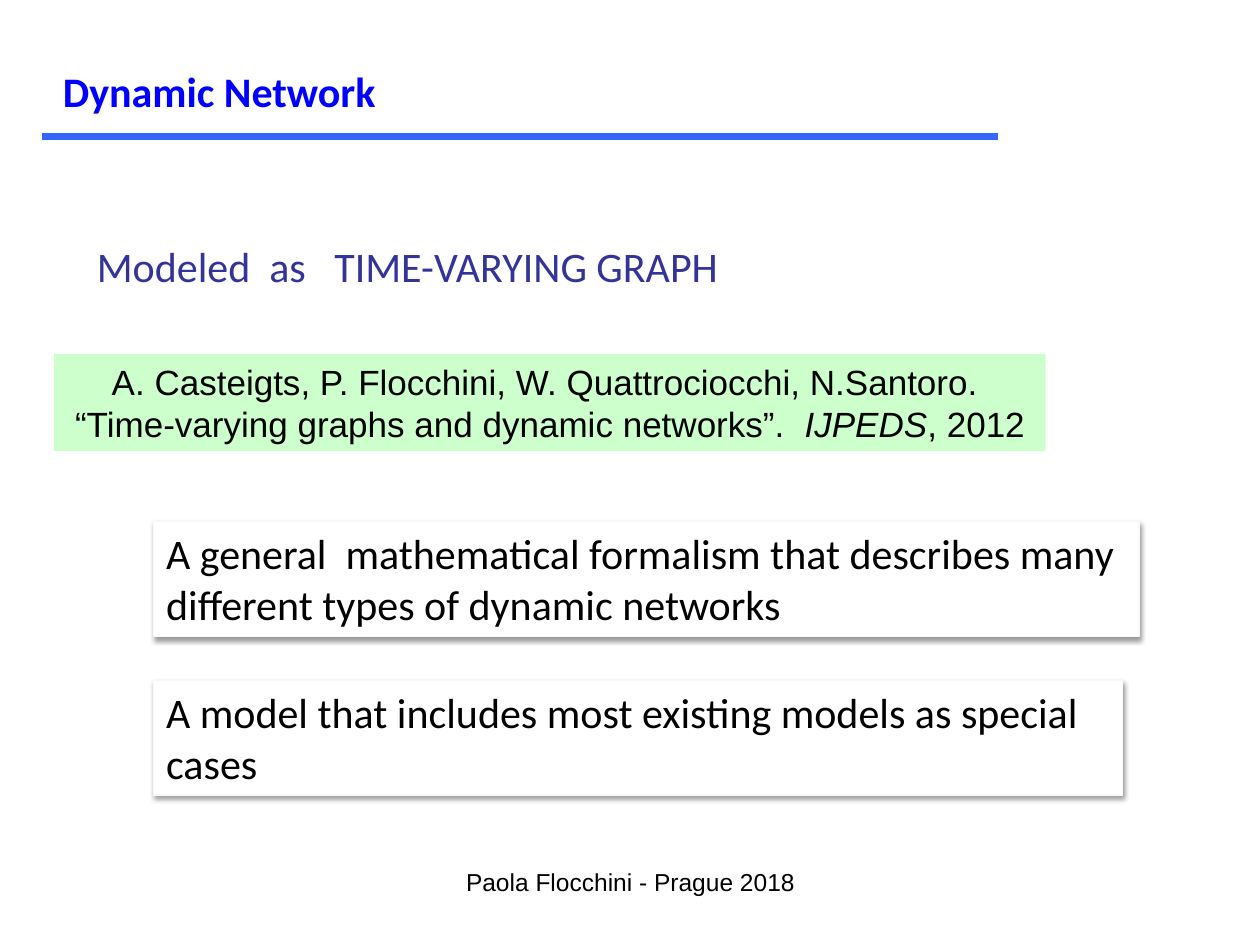
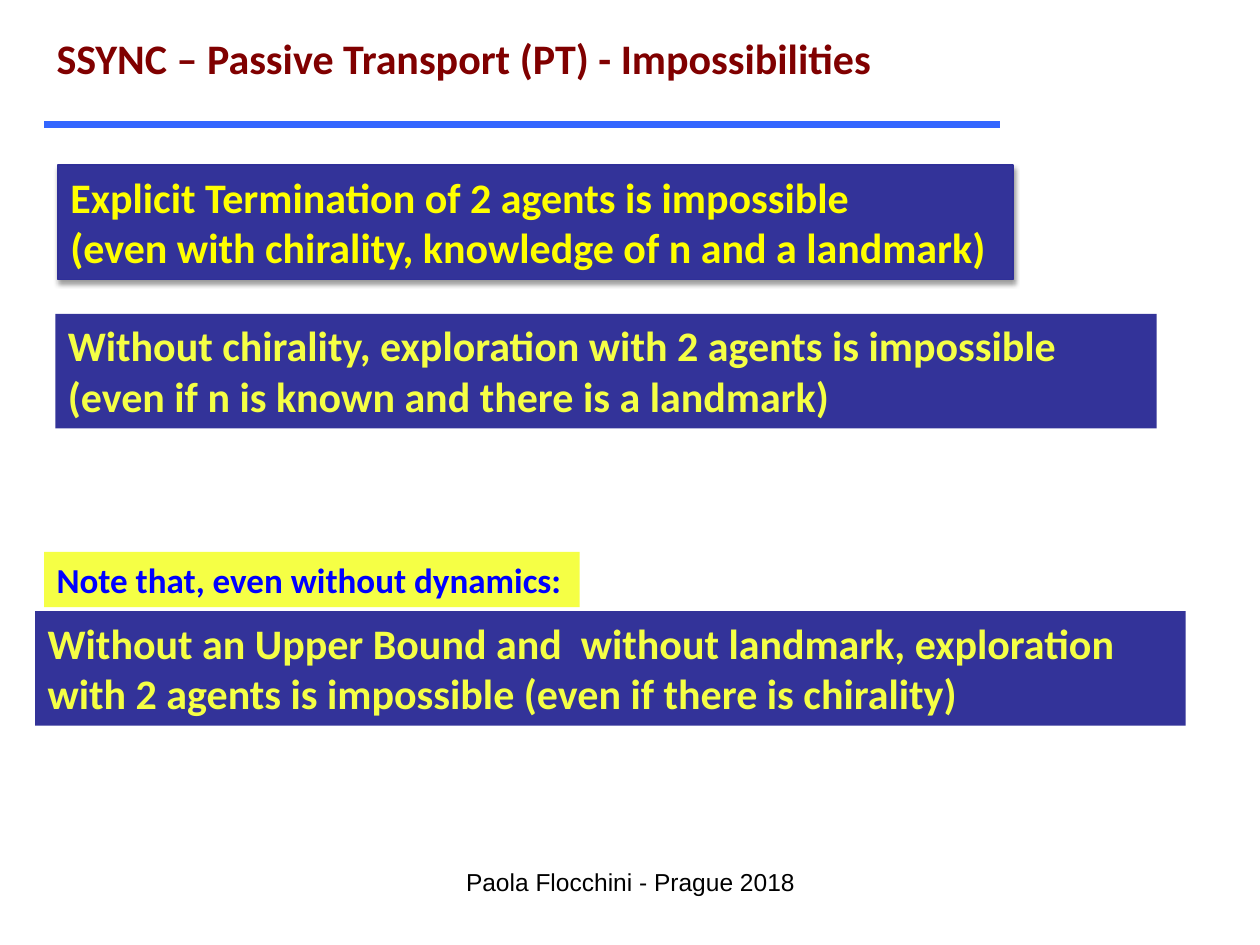
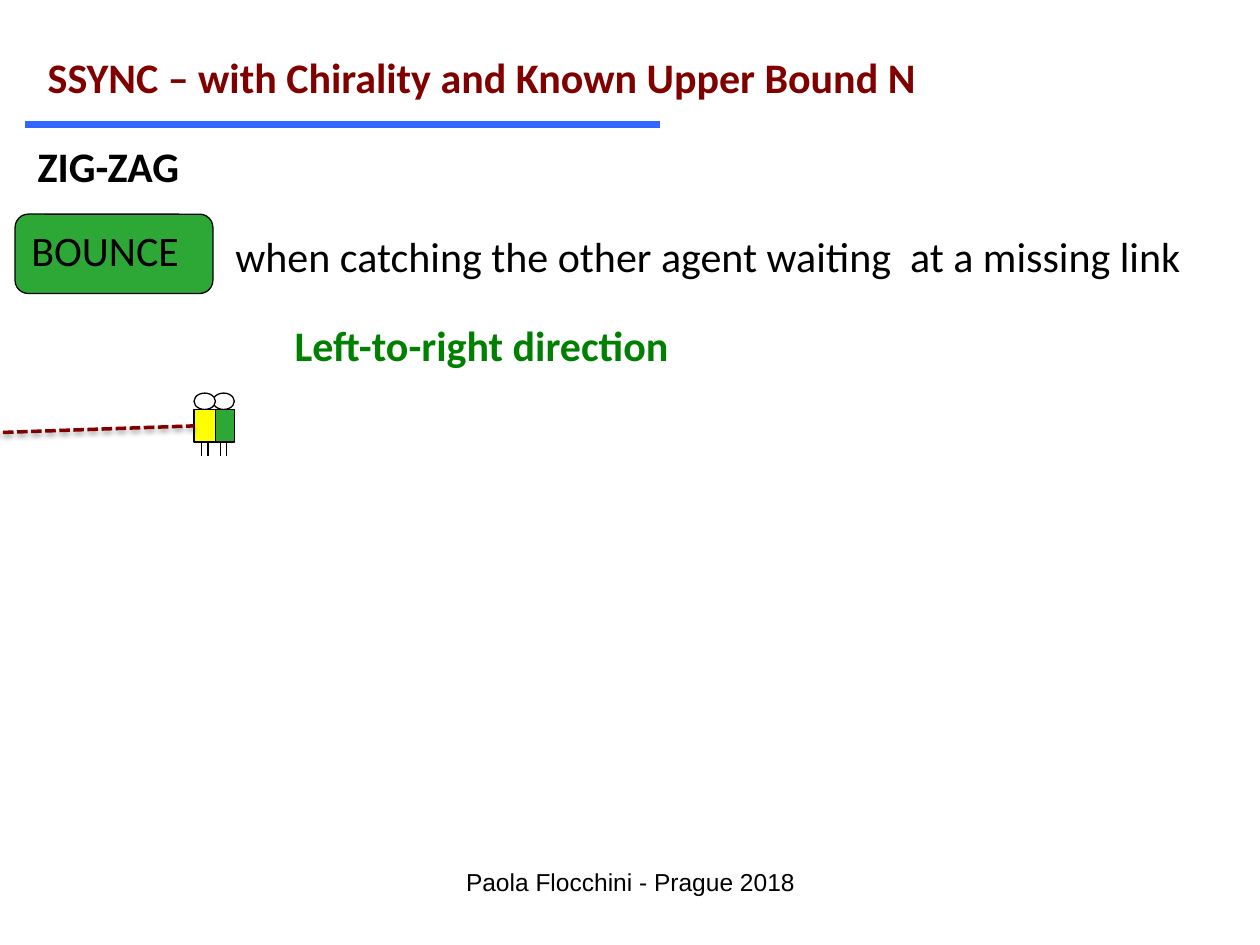
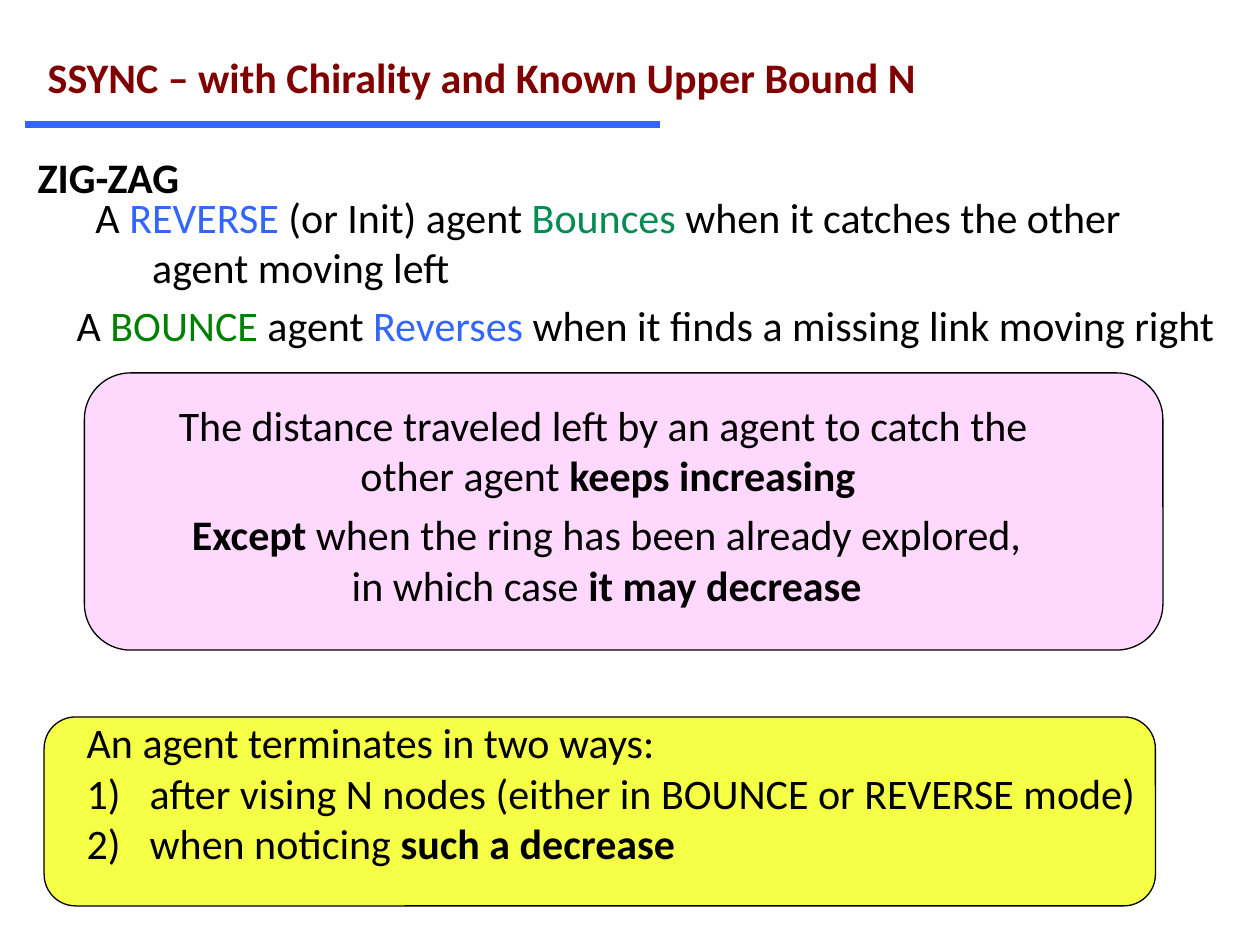
from dataclasses import dataclass

import pptx
import pptx.dml.color
import pptx.enum.dml
import pptx.enum.shapes
import pptx.enum.text
import pptx.oxml
import pptx.oxml.ns
import pptx.util

Inches, Pt = pptx.util.Inches, pptx.util.Pt
SHAPES = pptx.enum.shapes.MSO_SHAPE


@dataclass(frozen=True)
class Theme:
    body_font: str = "Calibri"
    plain_font: str = "Arial"
    body_size: int = 24
    small_size: int = 20
    footer_size: int = 14
    hairline: float = 0.75
    rule_width: int = 4
    path_width: int = 2
    black: str = "000000"
    white: str = "FFFFFF"
    card_edge: str = "F9F9F9"
    blue: str = "0000FF"
    rule_blue: str = "3366FF"
    navy: str = "333399"
    navy_edge: str = "2F2F98"
    maroon: str = "800000"
    green: str = "008000"
    bounce_green: str = "008C52"
    agent_green: str = "2DA735"
    mint: str = "CCFFCC"
    lemon: str = "F5FF45"
    yellow: str = "FFFF00"
    pink: str = "FFD8FE"


THEME = Theme()

# Text formats
TITLE = dict(color=THEME.maroon, bold=True)
HEADING = dict(bold=True, wrap=False)
CITATION = dict(font=THEME.plain_font, size=THEME.small_size, fill=THEME.mint, centered=True)
CARD = dict(fill=THEME.white, line=THEME.card_edge, shadow=True)
RESULT = dict(fill=THEME.navy, color=THEME.lemon, bold=True)
KEY_RESULT = dict(fill=THEME.navy, color=THEME.yellow, bold=True, line=THEME.navy_edge,
                  shadow=True, wrap=False)
REMARK = dict(fill=THEME.lemon, color=THEME.blue, bold=True, size=THEME.small_size, wrap=False)
ROUNDED = dict(kind=SHAPES.ROUNDED_RECTANGLE, line=THEME.black, grow=False)
CENTERED = dict(centered=True, wrap=False)
BOLD = dict(bold=True)
REVERSE = dict(color=THEME.rule_blue)
FOOTER = ((3.42, 6.83, 3.17, 0.5), ["Paola Flocchini - Prague 2018"],
          dict(font=THEME.plain_font, size=THEME.footer_size, centered=True, grow=False))

# A paragraph is a string, a list of runs, or a dict with runs and indents.
# A run is a string or a pair of string and format.
ZIGZAG_TITLE = ((0.28, 0.36, 7.18, 0.91), ["SSYNC – with Chirality and Known Upper Bound N"],
                dict(TITLE, wrap=False))
ZIGZAG_RULE = (0.2, 5.24, 0.99)

SLIDES = [
    dict(
        rule=(0.33, 7.92, 1.08),
        boxes=[
            FOOTER,
            ((0.4, 0.47, 2.71, 0.5), ["Dynamic Network"], dict(HEADING, color=THEME.blue)),
            ((0.67, 1.86, 6.38, 0.5), ["Modeled  as   TIME-VARYING GRAPH"],
             dict(color=THEME.navy)),
            ((0.43, 2.81, 7.87, 0.77),
             ["A. Casteigts, P. Flocchini, W. Quattrociocchi, N.Santoro. ",
              ["“Time-varying graphs and dynamic networks”.  ",
               ("IJPEDS", dict(italic=True)), ", 2012"]], CITATION),
            ((1.22, 5.4, 7.69, 0.91),
             ["A model that includes most existing models as special cases"], CARD),
            ((1.22, 4.14, 7.82, 0.91),
             ["A general  mathematical formalism that describes many different types of "
              "dynamic networks"], CARD),
        ],
    ),
    dict(
        rule=(0.35, 7.94, 0.99),
        boxes=[
            FOOTER,
            ((0.28, 4.85, 9.13, 0.91),
             ["Without an Upper Bound and  without landmark, exploration with 2 agents is "
              "impossible (even if there is chirality)"], RESULT),
            ((0.35, 4.38, 4.25, 0.44), ["Note that, even without dynamics:"], REMARK),
            ((0.35, 0.21, 9.65, 0.5), ["SSYNC – Passive Transport (PT) - Impossibilities"],
             TITLE),
            ((0.46, 1.31, 7.58, 0.91),
             ["Explicit Termination of 2 agents is impossible",
              "(even with chirality, knowledge of n and a landmark)"], KEY_RESULT),
            ((0.44, 2.49, 8.74, 0.91),
             ["Without chirality, exploration with 2 agents is impossible",
              "(even if n is known and there is a landmark)"], RESULT),
        ],
    ),
    dict(
        rule=ZIGZAG_RULE,
        boxes=[
            FOOTER,
            ZIGZAG_TITLE,
            ((0.2, 1.07, 1.35, 0.5), ["ZIG-ZAG"], HEADING),
            ((2.24, 2.49, 3.22, 0.5), ["Left-to-right direction"],
             dict(HEADING, color=THEME.green)),
            ((1.77, 1.78, 8.11, 0.5),
             ["when catching the other agent waiting  at a missing link"], {}),
            ((0.12, 1.7, 1.57, 0.63), ["BOUNCE"], dict(ROUNDED, fill=THEME.agent_green)),
        ],
        agents=[(1.69, THEME.agent_green), (1.54, THEME.yellow)],
    ),
    dict(
        rule=ZIGZAG_RULE,
        boxes=[
            ((0.66, 1.47, 8.44, 0.91),
             [["A ", ("REVERSE ", REVERSE), "(or Init) agent ",
               ("Bounces", dict(color=THEME.bounce_green)), " when it catches the other"],
              dict(runs=["agent moving left"], left=0.45)], dict(wrap=False)),
            ((0.51, 2.33, 9.27, 0.5),
             [["A ", ("BOUNCE", dict(color=THEME.green)), " agent ", ("Reverses", REVERSE),
               " when it finds a missing link moving right"]], dict(wrap=False)),
            ZIGZAG_TITLE,
            ((0.2, 1.15, 1.35, 0.5), ["ZIG-ZAG"], HEADING),
        ],
        panels=[
            [
                ((0.35, 5.69, 8.82, 1.5), [], dict(ROUNDED, fill=THEME.lemon)),
                ((0.59, 5.64, 8.66, 1.72),
                 ["An agent terminates in two ways:",
                  dict(runs=["after vising N nodes (either in BOUNCE or REVERSE mode)"],
                       left=0.5, numbered=True),
                  dict(runs=["when noticing ", ("such a decrease", BOLD)],
                       left=0.5, numbered=True)], {}),
            ],
            [
                ((0.67, 2.96, 8.56, 2.2), [], dict(ROUNDED, fill=THEME.pink)),
                ((1.3, 3.12, 7.05, 0.77),
                 ["The distance traveled left by an agent to catch the ",
                  ["other agent ", ("keeps increasing", BOLD)]], CENTERED),
                ((1.38, 3.99, 6.87, 0.91),
                 [[("Except", BOLD), " when the ring has been already explored,"],
                  ["in which case ", ("it may decrease", BOLD)]], CENTERED),
            ],
        ],
    ),
]

AGENT_WIDTH, HEAD_TOP, HEAD_HEIGHT, BODY_HEIGHT, LEG_LENGTH = 0.17, 3.12, 0.13, 0.26, 0.11
LEG_OFFSETS = (0.06, 0.11)
PATH_START = (-0.2, 3.44)


def rgb(value):
    return pptx.dml.color.RGBColor.from_string(value)


def add_effects(shape, shadow):
    """Replace the theme's effects by a soft drop shadow or by none."""
    properties = shape._element.spPr
    effects = properties.find(pptx.oxml.ns.qn("a:effectLst"))
    if effects is None:
        effects = pptx.oxml.parse_xml(f'<a:effectLst {pptx.oxml.ns.nsdecls("a")}/>')
        properties.append(effects)
    if shadow:
        effects.append(pptx.oxml.parse_xml(
            f'<a:outerShdw {pptx.oxml.ns.nsdecls("a")} blurRad="{Pt(3.1)}" dist="{Pt(1.6)}" '
            'dir="5400000" rotWithShape="0"><a:srgbClr val="000000">'
            '<a:alpha val="38000"/></a:srgbClr></a:outerShdw>'))


def add_line(shapes, start, end, color=THEME.black, width=THEME.hairline, dash=None,
             shadow=False):
    connector = shapes.add_connector(
        pptx.enum.shapes.MSO_CONNECTOR.STRAIGHT, *(Inches(value) for value in start + end))
    connector.line.color.rgb = rgb(color)
    connector.line.width = Pt(width)
    if dash is not None:
        connector.line.dash_style = dash
    add_effects(connector, shadow)
    return connector


def add_preset(shapes, place, fill, line=None, kind=SHAPES.RECTANGLE, shadow=False):
    shape = shapes.add_shape(kind, *(Inches(value) for value in place))
    shape.shadow.inherit = False
    shape.fill.solid()
    shape.fill.fore_color.rgb = rgb(fill)
    if line:
        shape.line.color.rgb = rgb(line)
        shape.line.width = Pt(THEME.hairline)
    else:
        shape.line.fill.background()
    if shadow:
        add_effects(shape, True)
    return shape


def set_indent(paragraph, left, numbered=False):
    properties = paragraph._p.get_or_add_pPr()
    properties.set("marL", str(Inches(left)))
    if numbered:
        properties.set("indent", str(-Inches(left)))
        properties.append(pptx.oxml.parse_xml(
            f'<a:buAutoNum {pptx.oxml.ns.nsdecls("a")} type="arabicParenR"/>'))


def add_run(paragraph, text, font=THEME.body_font, size=THEME.body_size, color=THEME.black,
            bold=False, italic=False):
    run = paragraph.add_run()
    run.text = text
    run.font.name = font
    run.font.size = Pt(size)
    run.font.color.rgb = rgb(color)
    run.font.bold = bold
    run.font.italic = italic


def add_text(shapes, place, paragraphs, fill=None, line=None, kind=SHAPES.RECTANGLE,
             shadow=False, centered=False, wrap=True, grow=True, **run_format):
    if fill:
        shape = add_preset(shapes, place, fill, line, kind, shadow)
    else:
        shape = shapes.add_textbox(*(Inches(value) for value in place))
    frame = shape.text_frame
    frame.word_wrap = wrap
    frame.vertical_anchor = pptx.enum.text.MSO_ANCHOR.TOP
    frame.auto_size = (pptx.enum.text.MSO_AUTO_SIZE.SHAPE_TO_FIT_TEXT if grow
                       else pptx.enum.text.MSO_AUTO_SIZE.NONE)
    alignment = pptx.enum.text.PP_ALIGN.CENTER if centered else pptx.enum.text.PP_ALIGN.LEFT
    for index, content in enumerate(paragraphs):
        paragraph = frame.add_paragraph() if index else frame.paragraphs[0]
        paragraph.alignment = alignment
        if isinstance(content, dict):
            set_indent(paragraph, content["left"], content.get("numbered", False))
            content = content["runs"]
        for run in [content] if isinstance(content, str) else content:
            text, changes = (run, {}) if isinstance(run, str) else run
            add_run(paragraph, text, **{**run_format, **changes})


def add_agent(slide, left, color):
    """Draw a small figure and return its body."""
    shapes = slide.shapes.add_group_shape().shapes
    body_top = HEAD_TOP + HEAD_HEIGHT
    leg_top = body_top + BODY_HEIGHT
    add_preset(shapes, (left, HEAD_TOP, AGENT_WIDTH, HEAD_HEIGHT), THEME.white, THEME.black,
               SHAPES.OVAL)
    body = add_preset(shapes, (left, body_top, AGENT_WIDTH, BODY_HEIGHT), color, THEME.black)
    for offset in LEG_OFFSETS:
        add_line(shapes, (left + offset, leg_top), (left + offset, leg_top + LEG_LENGTH))
    return body


def build_slide(presentation, content):
    slide = presentation.slides.add_slide(presentation.slide_layouts[6])
    left, right, height = content["rule"]
    add_line(slide.shapes, (left, height), (right, height), THEME.rule_blue, THEME.rule_width)
    for panel in content.get("panels", []):
        group = slide.shapes.add_group_shape()
        for place, paragraphs, text_format in panel:
            add_text(group.shapes, place, paragraphs, **text_format)
    for place, paragraphs, text_format in content["boxes"]:
        add_text(slide.shapes, place, paragraphs, **text_format)
    bodies = [add_agent(slide, *agent) for agent in content.get("agents", [])]
    if bodies:
        travelled = add_line(slide.shapes, PATH_START, PATH_START, THEME.maroon,
                             THEME.path_width, pptx.enum.dml.MSO_LINE.SQUARE_DOT, shadow=True)
        travelled.end_connect(bodies[-1], 1)


def main():
    presentation = pptx.Presentation()
    presentation.slide_width = Inches(10)
    presentation.slide_height = Inches(7.5)
    for content in SLIDES:
        build_slide(presentation, content)
    presentation.save("out.pptx")


if __name__ == "__main__":
    main()
